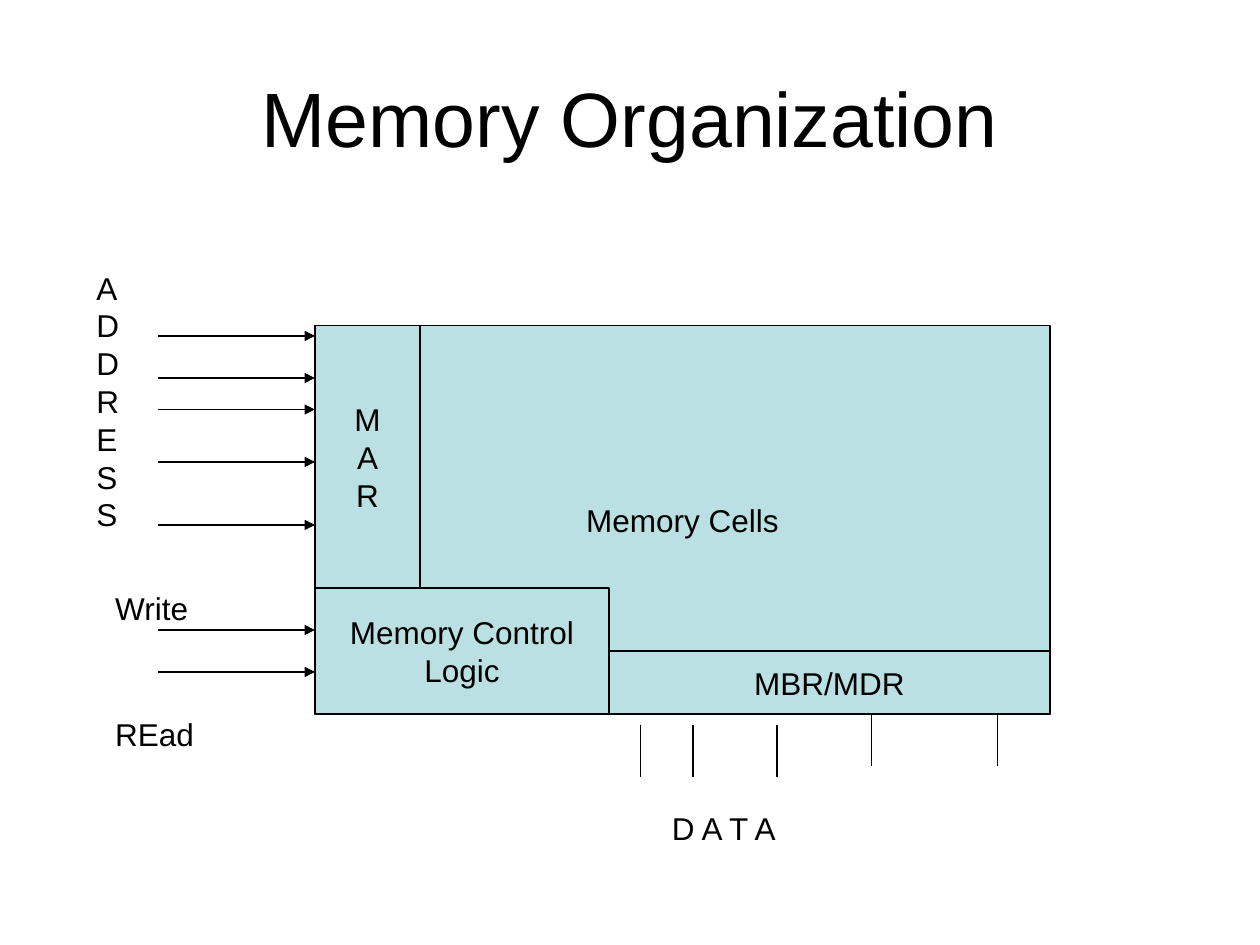
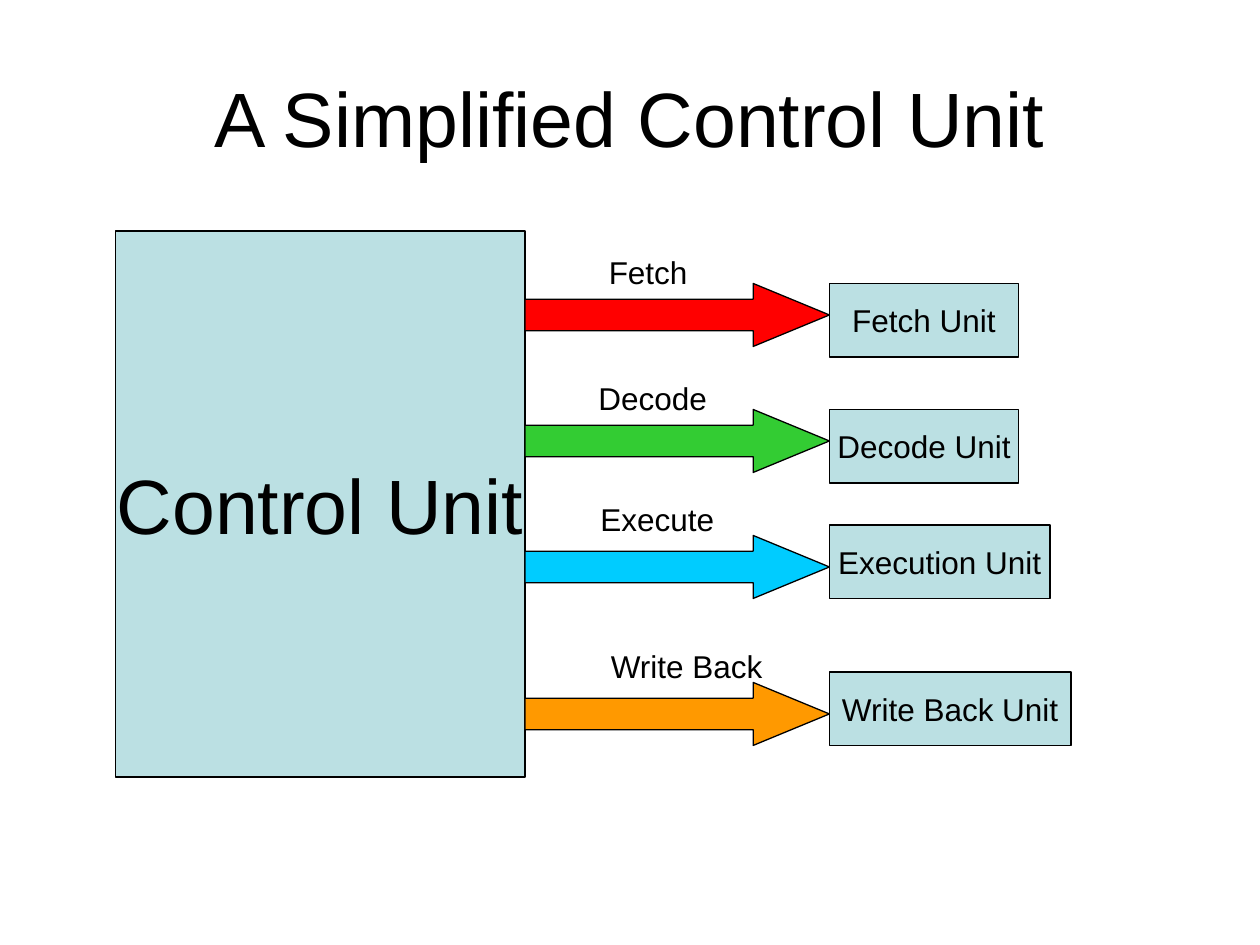
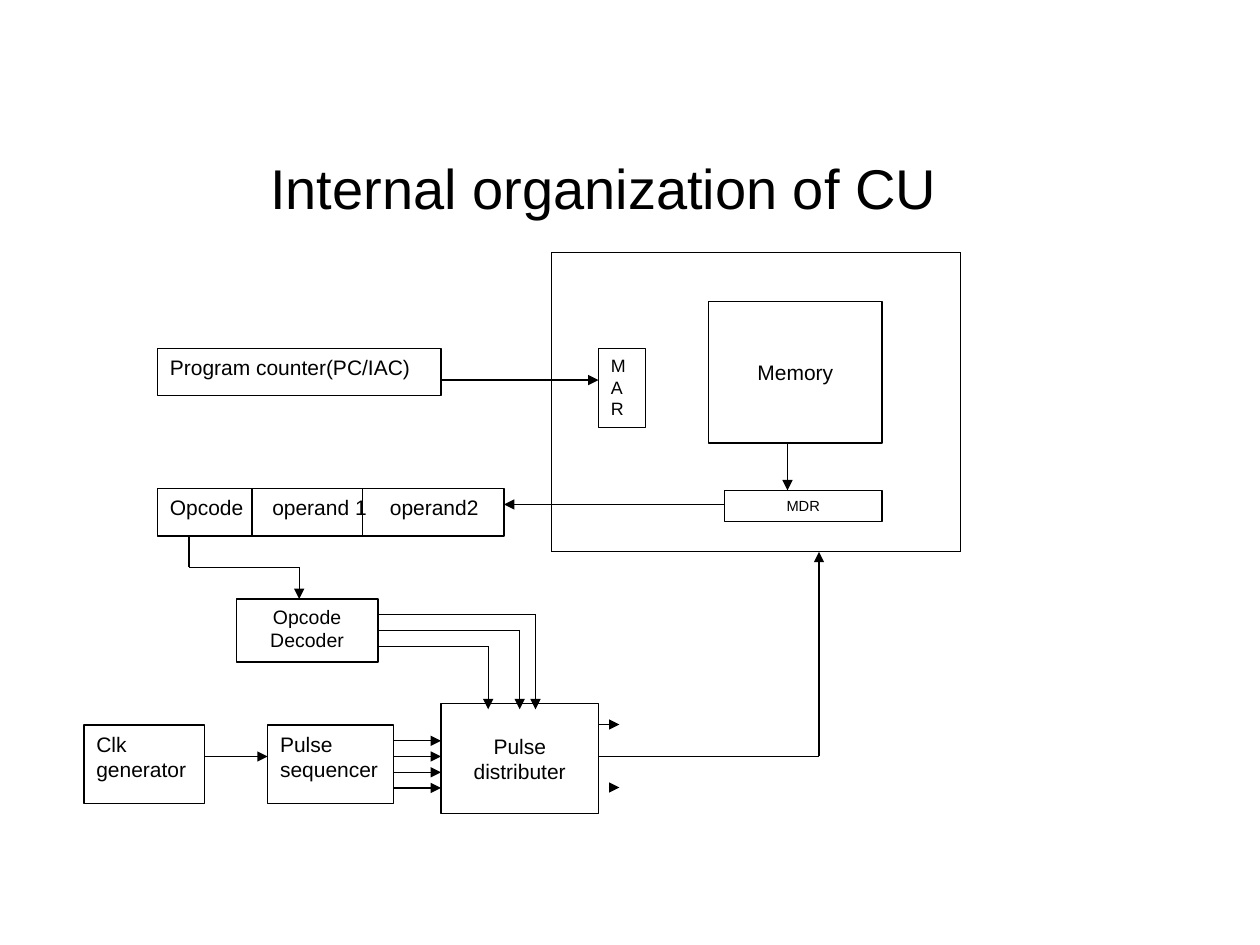
from lxml import etree
from pptx import Presentation
from pptx.dml.color import RGBColor
from pptx.enum.shapes import MSO_CONNECTOR, MSO_SHAPE
from pptx.enum.text import MSO_ANCHOR, PP_ALIGN
from pptx.oxml.ns import qn
from pptx.util import Inches, Pt

BLACK = RGBColor(0x00, 0x00, 0x00)
WHITE = RGBColor(0xFF, 0xFF, 0xFF)
PALE_BLUE = RGBColor(0xBB, 0xE0, 0xE3)
RED = RGBColor(0xFF, 0x00, 0x00)
GREEN = RGBColor(0x33, 0xCC, 0x33)
SKY_BLUE = RGBColor(0x00, 0xCC, 0xFF)
ORANGE = RGBColor(0xFF, 0x99, 0x00)

FONT = "Arial"
LINE_WIDTH = Pt(0.75)
LEFT, CENTER = PP_ALIGN.LEFT, PP_ALIGN.CENTER
TOP, MIDDLE = MSO_ANCHOR.TOP, MSO_ANCHOR.MIDDLE
RECTANGLE = MSO_SHAPE.RECTANGLE

# Every position is a column or row of a grid with 24 cells to the inch.
COLUMNS, ROWS = 240, 180
CELL = Inches(10) // COLUMNS
TITLE_AREA = (12, 7.25, 216, 30)


def add_box(slide, area, text="", size=18, fill=None, align=CENTER,
            anchor=MIDDLE, wrap=False, kind=RECTANGLE):
    """Add an outlined shape, or a plain text box when there is no fill."""
    place = [int(cells * CELL) for cells in area]
    if fill is None:
        shape = slide.shapes.add_textbox(*place)
    else:
        shape = slide.shapes.add_shape(kind, *place)
        shape.shadow.inherit = False
        shape.fill.solid()
        shape.fill.fore_color.rgb = fill
        shape.line.color.rgb = BLACK
        shape.line.width = LINE_WIDTH
    frame = shape.text_frame
    frame.text = text
    frame.word_wrap = wrap
    frame.vertical_anchor = anchor
    for paragraph in frame.paragraphs:
        paragraph.alignment = align
        for run in paragraph.runs:
            run.font.name = FONT
            run.font.size = Pt(size)
            run.font.color.rgb = BLACK
    return shape


def add_line(slide, *points, arrow=True):
    """Join the points with straight connectors, the last with an arrowhead."""
    for start, end in zip(points, points[1:]):
        ends = [int(cells * CELL) for cells in start + end]
        connector = slide.shapes.add_connector(MSO_CONNECTOR.STRAIGHT, *ends)
        connector.line.color.rgb = BLACK
        connector.line.width = LINE_WIDTH
        properties = connector.element.spPr
        etree.SubElement(properties, qn("a:effectLst"))
        if arrow and end == points[-1]:
            etree.SubElement(properties.find(qn("a:ln")), qn("a:tailEnd"), type="triangle")


presentation = Presentation()
presentation.slide_width = COLUMNS * CELL
presentation.slide_height = ROWS * CELL
blank = presentation.slide_layouts[6]

# Memory organization
slide = presentation.slides.add_slide(blank)
add_box(slide, TITLE_AREA, "Memory Organization", 44, wrap=True)
for area, text in [
    ((60, 62, 140, 74), "Memory Cells"),
    ((60, 112, 56, 24), "Memory Control\nLogic"),
    ((116, 124, 84, 12), "MBR/MDR"),
    ((60, 62, 20, 50), "M\nA\nR"),
]:
    add_box(slide, area, text, fill=PALE_BLUE)
for row in (64, 72, 78, 88, 100, 120, 128):
    add_line(slide, (30, row), (60, row))
for column, row in [(122, 138), (132, 138), (148, 138), (166, 136), (190, 136)]:
    add_line(slide, (column, row), (column, row + 10), arrow=False)
for area, text in [
    ((16, 50, 10, 60), "\n".join("ADDRESS")),
    ((19.6, 111, 20.5, 9.6), "Write"),
    ((19.6, 135, 20.5, 9.6), "REad"),
    ((125.6, 152.9, 26.5, 9.6), "D A T A"),
]:
    add_box(slide, area, text, align=LEFT, anchor=TOP)

# Control unit and the units it drives
slide = presentation.slides.add_slide(blank)
add_box(slide, TITLE_AREA, "A Simplified Control Unit", 44, wrap=True)
add_box(slide, (22, 44, 78, 104), "Control Unit", 44, PALE_BLUE)
for step, unit, color, arrow_row, unit_row, unit_width, label_column, label_row, label_width in [
    ("Fetch", "Fetch Unit", RED, 54, 54, 36, 113.6, 47, 20.5),
    ("Decode", "Decode Unit", GREEN, 78, 78, 36, 111.6, 71, 26.5),
    ("Execute", "Execution Unit", SKY_BLUE, 102, 100, 42, 112, 94, 27.5),
    ("Write Back", "Write Back Unit", ORANGE, 130, 128, 46, 114, 122, 35),
]:
    block_arrow = add_box(slide, (100, arrow_row, 58, 12), fill=color,
                          kind=MSO_SHAPE.RIGHT_ARROW)
    block_arrow.adjustments[1] = 1.21
    add_box(slide, (158, unit_row, unit_width, 14), unit, fill=PALE_BLUE)
    add_box(slide, (label_column, label_row, label_width, 9.6), step,
            align=LEFT, anchor=TOP)

# Internal organization of the control unit
slide = presentation.slides.add_slide(blank)
add_box(slide, (14, 28, 202, 128), "Internal organization of CU", 32,
        anchor=TOP, wrap=True)
for area, text, size, align, anchor in [
    ((30, 66.4, 54, 9), "Program counter(PC/IAC)", 12, LEFT, TOP),
    ((114, 66.4, 9, 15), "M\nA\nR", 10.2, LEFT, TOP),
    ((135, 57.4, 33, 27), "Memory", 12, CENTER, MIDDLE),
    ((138, 93.4, 30, 6), "MDR", 8.4, CENTER, TOP),
    ((45, 114.1, 27, 12), "Opcode Decoder", 11.1, CENTER, TOP),
    ((16, 138.1, 23, 15), "Clk\ngenerator", 12, LEFT, TOP),
    ((51, 138.1, 24, 15), "Pulse sequencer", 12, LEFT, TOP),
    ((84, 134, 30, 21), "Pulse distributer", 12, CENTER, MIDDLE),
]:
    add_box(slide, area, text, size, WHITE, align, anchor, wrap=True)

instruction = add_box(slide, (30, 93.1, 66, 9), "Opcode\toperand 1\toperand2", 12,
                      WHITE, LEFT, TOP, wrap=True)
paragraph_properties = instruction.text_frame.paragraphs[0]._p.get_or_add_pPr()
tab_list = etree.SubElement(paragraph_properties, qn("a:tabLst"))
for tab_column in (19.5, 41.9):
    etree.SubElement(tab_list, qn("a:tab"), pos=str(int(tab_column * CELL)), algn="l")
for column in (48, 69):
    add_line(slide, (column, 93.1), (column, 102.1), arrow=False)

memory_frame = [(105, 48.1), (183, 48.1), (183, 105.1), (105, 105.1)]
add_line(slide, *memory_frame, memory_frame[0], arrow=False)
for route in [
    [(84, 72.4), (114, 72.4)],
    [(150, 84.4), (150, 93.4)],
    [(138, 96.1), (96, 96.1)],
    [(36, 102.1), (36, 108.1), (57, 108.1), (57, 114.1)],
    [(39, 144.1), (51, 144.1)],
    [(114, 144.1), (156, 144.1), (156, 105.1)],
    [(114, 138), (118, 138)],
    [(116, 150), (118, 150)],
]:
    add_line(slide, *route)
for index, column in enumerate((102, 99, 93)):
    row = 117.1 + 3 * index
    add_line(slide, (72, row), (column, row), (column, 135.1))
for index in range(4):
    row = 141.1 + 3 * index
    add_line(slide, (75, row), (84, row))

presentation.save("out.pptx")
